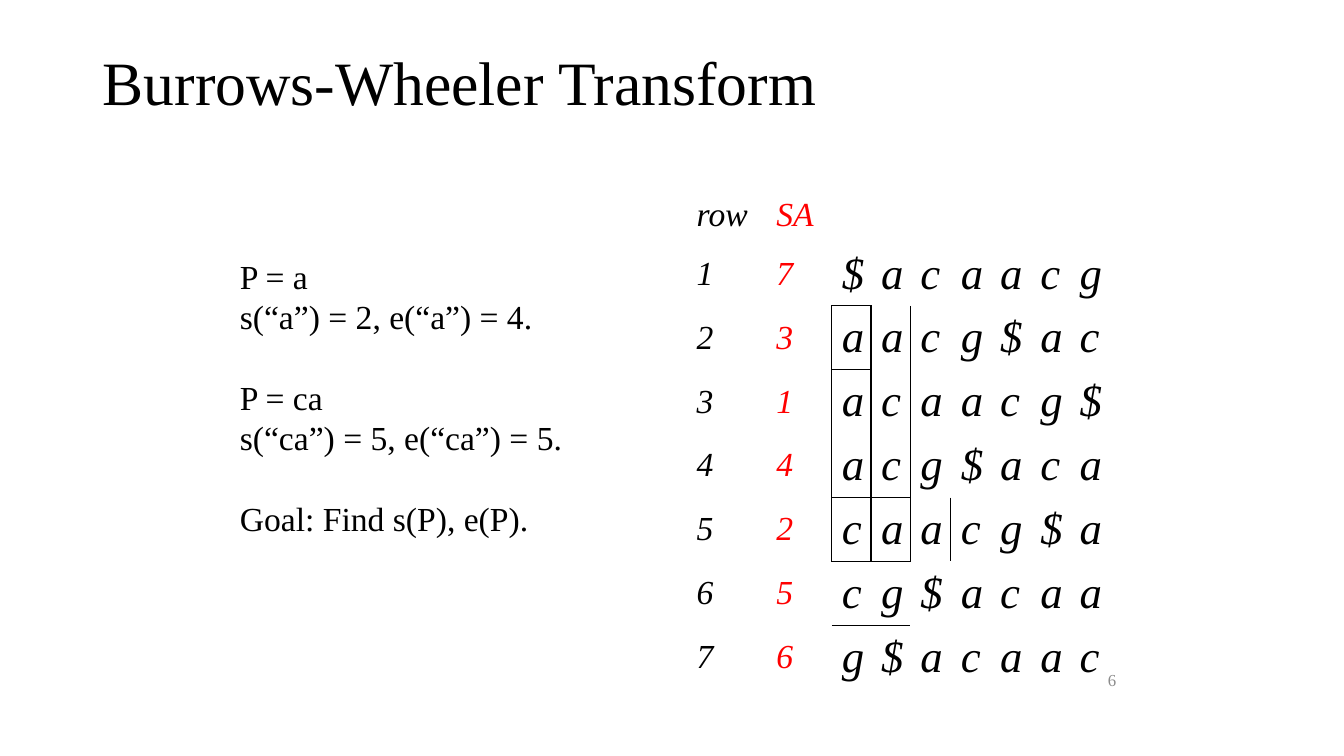
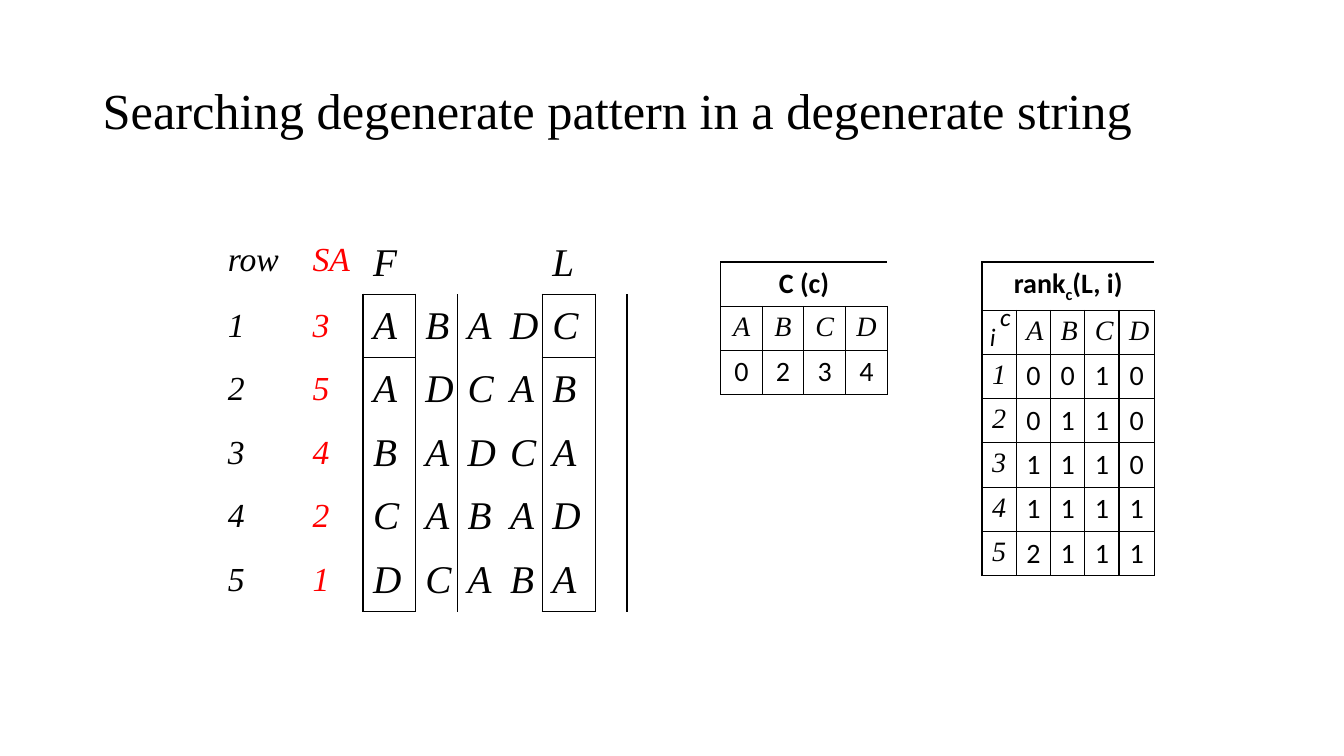
from pptx import Presentation
from pptx import util as u
from pptx.dml.color import RGBColor
from pptx.enum import text
from pptx.oxml import parse_xml
from pptx.oxml.ns import nsdecls, qn

BLACK, RED, GREY, WHITE = "000000", "FF0000", "8C8C8C", "FFFFFF"
SERIF, SANS = "Times New Roman", "Calibri"
NO_STYLE = "{2D5ABB26-0587-4C30-8999-92F81FD0307C}"
SIDES = {"a:lnL": (0, -1), "a:lnR": (0, 1), "a:lnT": (-1, 0), "a:lnB": (1, 0)}
OPPOSITE = {"a:lnL": "a:lnR", "a:lnR": "a:lnL", "a:lnT": "a:lnB", "a:lnB": "a:lnT"}


def rgb(color):
    """Turn a hex string into a colour."""
    return RGBColor.from_string(color)


def set_font(p, size, color=BLACK, name=SERIF, italic=False, bold=False):
    """Set the font of a whole paragraph."""
    f = p.font
    f.size, f.name, f.italic, f.bold = u.Pt(size), name, italic, bold
    f.color.rgb = rgb(color)


def add_text(slide, box, content, size, wrap=True, anchor=text.MSO_ANCHOR.TOP, **font):
    """Add a one-paragraph text box and return its frame."""
    tf = slide.shapes.add_textbox(*(u.Inches(v) for v in box)).text_frame
    tf.word_wrap = wrap
    tf.vertical_anchor = anchor
    if not wrap:
        tf.auto_size = text.MSO_AUTO_SIZE.SHAPE_TO_FIT_TEXT
    tf.text = content
    set_font(tf.paragraphs[0], size, **font)
    return tf


def add_title(slide, content, top, size):
    """Add the slide title."""
    tf = add_text(slide, (0.92, top, 11.5, 1.45), content, size, anchor=text.MSO_ANCHOR.MIDDLE)
    tf.paragraphs[0].line_spacing = 0.9


def add_number(slide, number):
    """Add the slide number."""
    tf = add_text(slide, (8.92, 6.54, 2.25, 0.4), str(number), 12,
                  anchor=text.MSO_ANCHOR.MIDDLE, color=GREY)
    tf.paragraphs[0].alignment = text.PP_ALIGN.RIGHT


def add_table(slide, left, top, cols, rows):
    """Add a plain table with the given column widths and row heights."""
    box = (left, top, sum(cols), sum(rows))
    table = slide.shapes.add_table(len(rows), len(cols), *(u.Inches(v) for v in box)).table
    table.first_row = table.horz_banding = False
    table._tbl.tblPr.find(qn("a:tableStyleId")).text = NO_STYLE
    for col, width in zip(table.columns, cols):
        col.width = u.Inches(width)
    for row, height in zip(table.rows, rows):
        row.height = u.Inches(height)
    return table


def draw_edge(cell, side):
    """Draw one black border line of a cell."""
    tc_pr = cell._tc.get_or_add_tcPr()
    if tc_pr.find(qn(side)) is not None:
        return
    order = list(SIDES)
    before = sum(tc_pr.find(qn(s)) is not None for s in order[:order.index(side)])
    tc_pr.insert(before, parse_xml(
        f'<{side} {nsdecls("a")} w="12700"><a:solidFill><a:srgbClr val="{BLACK}"/>'
        f'</a:solidFill></{side}>'))


def frame_cells(table, top, left, bottom, right):
    """Outline a block of cells, on both sides of each shared edge."""
    block = {(r, c) for r in range(top, bottom + 1) for c in range(left, right + 1)}
    for r, c in sorted(block):
        for side, (dr, dc) in SIDES.items():
            near = (r + dr, c + dc)
            if near in block:
                continue
            draw_edge(table.cell(r, c), side)
            if 0 <= near[0] < len(table.rows) and 0 <= near[1] < len(table.columns):
                draw_edge(table.cell(*near), OPPOSITE[side])


def add_rotations(slide, left, top, cols, rows, header, suffixes, strings, size):
    """Add the table of sorted rotations with row numbers and suffix array."""
    table = add_table(slide, left, top, cols, rows)
    lines = [["row", "SA", *header]]
    lines += [[str(n), sa, *s] for n, (sa, s) in enumerate(zip(suffixes, strings), 1)]
    for r, line in enumerate(lines):
        for c, value in enumerate(line):
            if not value.strip():
                continue
            cell = table.cell(r, c)
            cell.text = value
            if r:
                cell.vertical_anchor = text.MSO_ANCHOR.MIDDLE
            set_font(cell.text_frame.paragraphs[0], size if c > 1 else 24,
                     RED if c == 1 else BLACK, italic=True)
    return table


def add_counts(slide, left, top, cols, rows, heading, lines, label_col=False):
    """Add a ruled table of counts under a merged heading of (text, subscript) runs."""
    table = add_table(slide, left, top, cols, rows)
    last = len(cols) - 1
    table.cell(0, 0).merge(table.cell(0, last))
    p = table.cell(0, 0).text_frame.paragraphs[0]
    p.alignment = text.PP_ALIGN.CENTER
    set_font(p, 20, name=SANS, bold=True)
    for content, subscript in heading:
        r = p.add_run()
        r.text = content
        if subscript:
            r.font._element.set("baseline", "-25000")
    frame_cells(table, 0, 0, 0, last)
    for row, line in enumerate(lines, 1):
        for col, value in enumerate(line):
            frame_cells(table, row, col, row, col)
            if not value.strip():
                continue
            cell = table.cell(row, col)
            cell.text = value
            label = row == 1 or (label_col and col == 0)
            p = cell.text_frame.paragraphs[0]
            p.alignment = text.PP_ALIGN.CENTER
            set_font(p, 20, name=SERIF if label else SANS, italic=label)
    for cell in table.iter_cells():
        cell.fill.solid()
        cell.fill.fore_color.rgb = rgb(WHITE)


def add_goal(slide, left, top):
    """Add the pattern examples and the goal, in groups set apart by space."""
    groups = [["P = a", "s(“a”) = 2, e(“a”) = 4."],
              ["P = ca", "s(“ca”) = 5, e(“ca”) = 5."],
              ["Goal: Find s(P), e(P)."]]
    tf = add_text(slide, (left, top, 3.51, 2.93), groups[0][0], 24, wrap=False)
    tf.paragraphs[0].line_spacing = u.Pt(28.8)
    for g, group in enumerate(groups):
        for n, line in enumerate(group):
            if g == n == 0:
                continue
            p = tf.add_paragraph()
            p.text = line
            p.line_spacing = u.Pt(28.8)
            if n == 0:
                p.space_before = u.Pt(28.8)
            set_font(p, 24)


def build_transform(slide):
    """Build the slide on the transform."""
    add_title(slide, "Burrows-Wheeler Transform", 0.12, 44)
    add_number(slide, 6)
    strings = ["$acaacg", "aacg$ac", "acaacg$", "acg$aca", "caacg$a", "cg$acaa", "g$acaac"]
    table = add_rotations(slide, 6.81, 1.9, [0.79, 0.65, 0.39, 0.39, 0.4, 0.39, 0.4, 0.39, 0.4],
                          [0.46] + [0.63] * 7, "", "7314256", strings, 32)
    frame_cells(table, 2, 2, 4, 2)
    frame_cells(table, 5, 2, 5, 3)
    add_goal(slide, 2.28, 2.49)


def build_search(slide):
    """Build the slide on searching a degenerate string."""
    add_title(slide, "Searching degenerate pattern in a degenerate string", 0.4, 36)
    add_counts(slide, 7.15, 2.6, [0.41, 0.41, 0.42, 0.41], [0.44, 0.43, 0.44],
               [("C (c)", False)], ["ABCD", "0234"])
    add_counts(slide, 9.74, 2.6, [0.34] * 4 + [0.35], [0.48, 0.42] + [0.44] * 5,
               [("rank", False), ("c", True), ("(L, i)", False)],
               [" ABCD", "10010", "20110", "31110", "41111", "52111"], label_col=True)
    for content, left, top, width in [("i", 9.72, 3.14, 0.26), ("c", 9.82, 2.94, 0.31)]:
        add_text(slide, (left, top, width, 0.4), content, 18, wrap=False, name=SANS, italic=True)
    table = add_rotations(slide, 2.16, 2.35, [0.84, 0.6, 0.52, 0.42, 0.42, 0.42, 0.53, 0.31, 0.42],
                          [0.57] + [0.63] * 5, ["F", "", "", "", "L"], "35421",
                          ["ABADC", "ADCAB", "BADCA", "CABAD", "DCABA"], 28)
    for col in (2, 6):
        frame_cells(table, 1, col, 5, col)


def main():
    """Build and save the presentation."""
    prs = Presentation()
    prs.slide_width, prs.slide_height = u.Inches(13.33), u.Inches(7.5)
    for build in (build_transform, build_search):
        build(prs.slides.add_slide(prs.slide_layouts[6]))
    prs.save("out.pptx")


if __name__ == "__main__":
    main()
